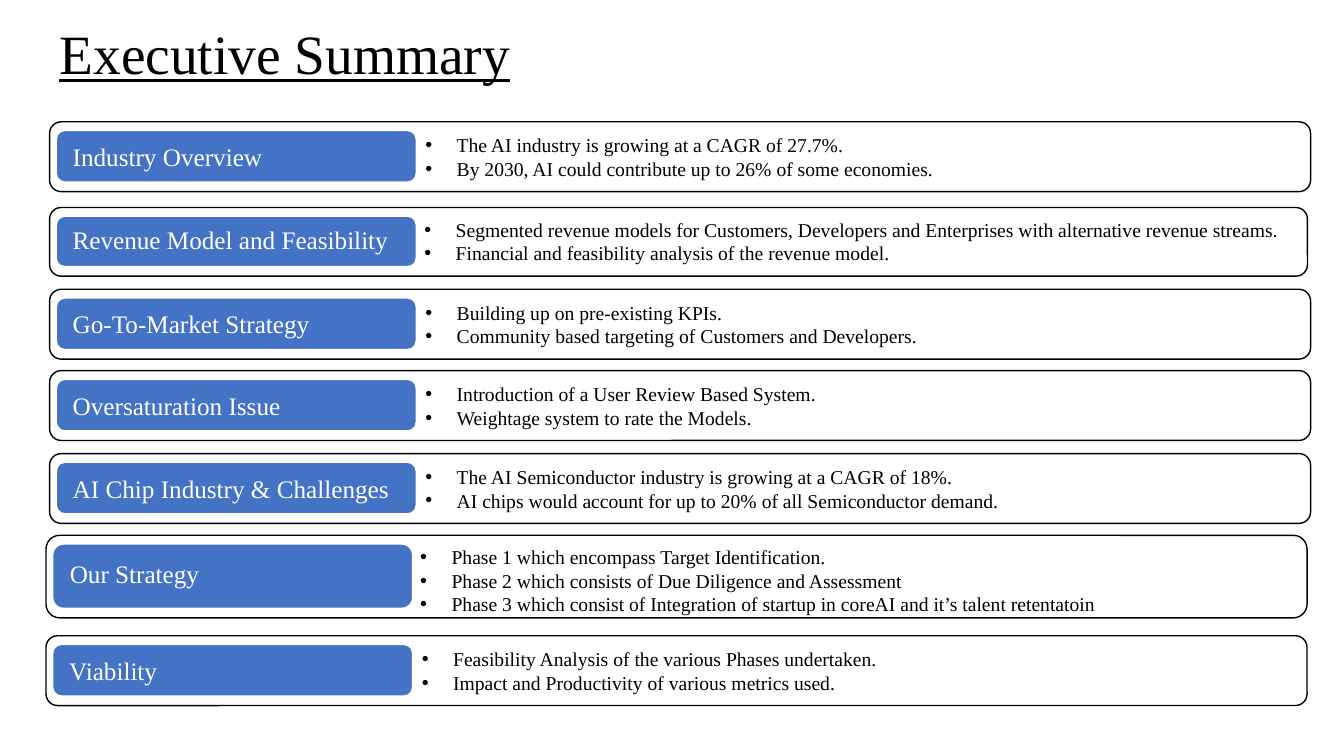
from lxml.etree import SubElement
from pptx import Presentation
from pptx.dml.color import RGBColor
from pptx.enum.shapes import MSO_SHAPE as Shape
from pptx.enum.text import MSO_ANCHOR as Anchor, PP_ALIGN as Align
from pptx.oxml.ns import qn
from pptx.util import Cm, Pt

COLOURS = {"text": "000000", "card": "FFFFFF", "tab": "4472C4"}
FONT = "Times New Roman"

# Left, top, width and height of the card, lift of the texts (cm), label, points
ROWS = [
    (1.25, 3.07, 31.78, 1.76, 0, "Industry Overview",
     ["The AI industry is growing at a CAGR of 27.7%.",
      "By 2030, AI could contribute up to 26% of some economies."]),
    (1.25, 5.23, 31.7, 1.73, 0.05, "Revenue Model and Feasibility",
     ["Segmented revenue models for Customers, Developers and Enterprises "
      "with alternative revenue streams.",
      "Financial and feasibility analysis of the revenue model."]),
    (1.25, 7.29, 31.78, 1.76, 0, "Go-To-Market Strategy",
     ["Building up on pre-existing KPIs.",
      "Community based targeting of Customers and Developers."]),
    (1.25, 9.34, 31.78, 1.76, 0, "Oversaturation Issue",
     ["Introduction of a User Review Based System.",
      "Weightage system to rate the Models."]),
    (1.25, 11.43, 31.78, 1.76, 0, "AI Chip Industry & Challenges",
     ["The AI Semiconductor industry is growing at a CAGR of 18%.",
      "AI chips would account for up to 20% of all Semiconductor demand."]),
    (1.16, 13.49, 31.78, 2.08, 0.08, "Our Strategy",
     ["Phase 1 which encompass Target Identification.",
      "Phase 2 which consists of Due Diligence and Assessment",
      "Phase 3 which consist of Integration of startup in coreAI "
      "and it’s talent retentatoin"]),
    (1.16, 16.02, 31.78, 1.76, 0, "Viability",
     ["Feasibility Analysis of the various Phases undertaken.",
      "Impact and Productivity of various metrics used."]),
]


def style(para, size, colour):
    para.alignment = Align.LEFT
    para.font.name = FONT
    para.font.size = Pt(size)
    para.font.color.rgb = RGBColor.from_string(COLOURS[colour])


def add_panel(page, left, top, width, height, fill, line):
    panel = page.shapes.add_shape(Shape.ROUNDED_RECTANGLE, Cm(left), Cm(top), Cm(width), Cm(height))
    panel.shadow.inherit = False
    panel.fill.solid()
    panel.fill.fore_color.rgb = RGBColor.from_string(COLOURS[fill])
    panel.line.color.rgb = RGBColor.from_string(COLOURS[line])
    panel.line.width = Pt(1)
    return panel


deck = Presentation()
deck.slide_width, deck.slide_height = Cm(33.87), Cm(19.05)
page = deck.slides.add_slide(deck.slide_layouts[6])

# Title
title = page.shapes.add_textbox(Cm(1.25), Cm(0.48), Cm(29.2), Cm(1.9))
title.text_frame.word_wrap = True
title.text_frame.vertical_anchor = Anchor.MIDDLE
heading = title.text_frame.paragraphs[0]
heading.text = "Executive Summary"
heading.line_spacing = 0.9
style(heading, 39.6, "text")
heading.font.underline = True

# Summary rows
for left, top, width, height, lift, label, points in ROWS:
    add_panel(page, left, top, width, height, "card", "text")

    # Label on the blue tab
    tab = add_panel(page, left + 0.17, top + 0.22, 9.07, height - 0.46, "tab", "card")
    frame = tab.text_frame
    frame.word_wrap = True
    frame.vertical_anchor = Anchor.MIDDLE
    frame.margin_left, frame.margin_right = Cm(0.35), Cm(0.1)
    frame.margin_top, frame.margin_bottom = 0, Cm(2 * lift)
    frame.text = label
    style(frame.paragraphs[0], 18, "card")

    # Bulleted points
    box = page.shapes.add_textbox(Cm(left + 9.22 - lift / 2), Cm(top + 0.16 - lift / 2),
                                  Cm(22.5), Cm(0.26 + 0.6 * len(points)))
    box.text_frame.word_wrap = True
    box.text_frame.text = "\n".join(points)
    for para in box.text_frame.paragraphs:
        properties = para._p.get_or_add_pPr()
        properties.set("marL", str(Cm(0.79)))
        properties.set("indent", str(-Cm(0.79)))
        SubElement(properties, qn("a:buFont")).set("typeface", "Arial")
        SubElement(properties, qn("a:buChar")).set("char", "•")
        style(para, 14, "text")

deck.save("out.pptx")
